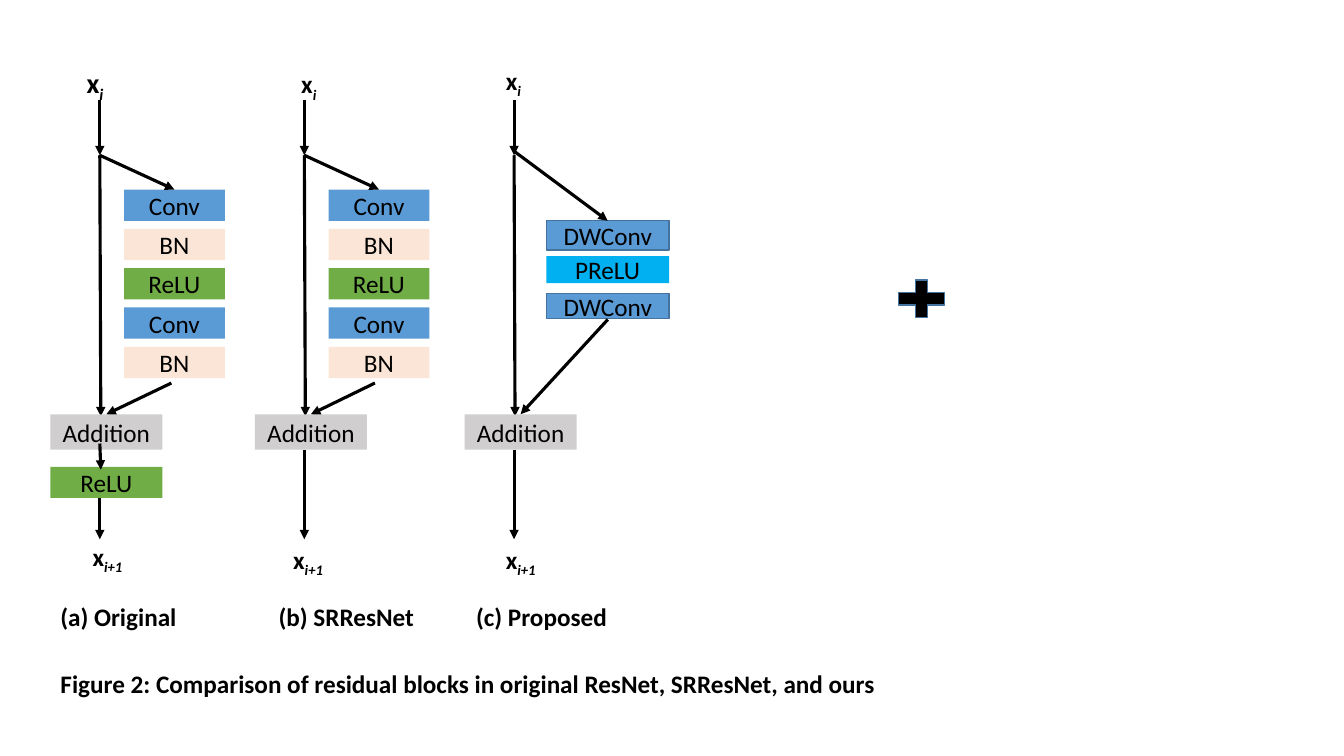
from dataclasses import dataclass

from lxml import etree
from pptx import Presentation
from pptx.dml.color import RGBColor
from pptx.enum.shapes import MSO_CONNECTOR, MSO_SHAPE
from pptx.enum.text import MSO_ANCHOR, MSO_AUTO_SIZE, PP_ALIGN
from pptx.oxml.ns import qn
from pptx.util import Pt

RECTANGLE = MSO_SHAPE.RECTANGLE
PLUS = MSO_SHAPE.MATH_PLUS
STRAIGHT = MSO_CONNECTOR.STRAIGHT
CENTER, LEFT = PP_ALIGN.CENTER, PP_ALIGN.LEFT
MIDDLE, TOP = MSO_ANCHOR.MIDDLE, MSO_ANCHOR.TOP
NO_AUTOFIT = MSO_AUTO_SIZE.NONE


@dataclass(frozen=True)
class Theme:
    """Colours, font and sizes of the slide."""
    font: str = "Calibri"
    text_size: float = 18
    large_size: float = 20
    arrow_width: float = 2.25
    ink: str = "000000"
    conv: str = "5B9BD5"
    norm: str = "FBE5D6"
    relu: str = "70AD47"
    prelu: str = "00B0F0"
    addition: str = "D0CECE"
    outline: str = "43739E"


THEME = Theme()


@dataclass(frozen=True)
class Layer:
    """One network layer; top and height are in points."""
    name: str
    fill: str
    top: float
    height: float
    outlined: bool = False


@dataclass(frozen=True)
class Symbol:
    """A variable with a subscript, placed by its box corner."""
    subscript: str
    left: float
    top: float
    size: float = THEME.text_size


@dataclass(frozen=True)
class Block:
    """One residual block, laid out around its vertical axis."""
    caption: str
    caption_left: float
    axis: float
    layers: tuple[Layer, ...]
    layer_left: float
    layer_width: float
    branch_top: float
    merge_start: tuple[float, float]
    source: Symbol
    result: Symbol
    final_relu: bool = False


LAYER_TOP, LAYER_PITCH, LAYER_HEIGHT = 135.4, 28.08, 22.3
ENTRY_TOP, SPLIT_TOP, EXIT_END = 71.3, 110.9, 385.2
ADD_TOP, ADD_HEIGHT, ADD_WIDTH, ADD_OFFSET = 295.9, 25.2, 80, -35.3
RELU_TOP = 333.4
SYMBOL_WIDTH, TEXT_HEIGHT = 60, 28.8

STACK = tuple(
    Layer(name, fill, LAYER_TOP + index * LAYER_PITCH, LAYER_HEIGHT)
    for index, (name, fill) in enumerate([
        ("Conv", THEME.conv), ("BN", THEME.norm), ("ReLU", THEME.relu),
        ("Conv", THEME.conv), ("BN", THEME.norm)])
)
DEPTHWISE = (
    Layer("DWConv", THEME.conv, 157.7, 20.9, True),
    Layer("PReLU", THEME.prelu, 182.9, 19.4),
    Layer("DWConv", THEME.conv, 209.5, 18, True),
)
BLOCKS = (
    Block("(a) Original", 36, 71.3, STACK, 88.6, 72, SPLIT_TOP, (122.4, 273.6),
          Symbol("i", 54.7, 43.2, THEME.large_size), Symbol("i+1", 59, 383), True),
    Block("(b) SRResNet", 192, 217.4, STACK, 234.7, 72, SPLIT_TOP, (267.8, 273.6),
          Symbol("i", 208.1, 45.4), Symbol("i+1", 202.3, 385.2)),
    Block("(c) Proposed", 333, 367.2, DEPTHWISE, 390.2, 87.8, 108, (434.2, 228.2),
          Symbol("i", 354.2, 43.2), Symbol("i+1", 354.2, 385.2)),
)


def format_span(span, size: float = THEME.text_size, bold: bool = False) -> None:
    """Apply the theme font to a run."""
    span.font.name = THEME.font
    span.font.size = Pt(size)
    span.font.bold = bold
    span.font.color.rgb = RGBColor.from_string(THEME.ink)


def add_figure(page, kind, left: float, top: float, width: float, height: float,
               fill: str, outlined: bool = False):
    """Draw a flat preset shape, with or without an outline."""
    box = page.shapes.add_shape(kind, Pt(left), Pt(top), Pt(width), Pt(height))
    box.shadow.inherit = False
    box.fill.solid()
    box.fill.fore_color.rgb = RGBColor.from_string(fill)
    if outlined:
        box.line.color.rgb = RGBColor.from_string(THEME.outline)
        box.line.width = Pt(1)
    else:
        box.line.fill.background()
    return box


def add_layer(page, layer: Layer, left: float, width: float) -> None:
    """Draw a layer with its centred name."""
    box = add_figure(page, RECTANGLE, left, layer.top, width, layer.height,
                     layer.fill, layer.outlined)
    box.text_frame.text = layer.name
    box.text_frame.vertical_anchor = MIDDLE
    para = box.text_frame.paragraphs[0]
    para.alignment = CENTER
    format_span(para.runs[0])


def add_arrow(page, start: tuple[float, float], end: tuple[float, float]) -> None:
    """Draw a straight arrow pointing at its end."""
    arrow = page.shapes.add_connector(
        STRAIGHT, Pt(start[0]), Pt(start[1]), Pt(end[0]), Pt(end[1]))
    arrow.line.color.rgb = RGBColor.from_string(THEME.ink)
    arrow.line.width = Pt(THEME.arrow_width)
    etree.SubElement(arrow.line._get_or_add_ln(), qn("a:tailEnd"), type="triangle")
    etree.SubElement(arrow._element.spPr, qn("a:effectLst"))


def add_label(page, text: str, left: float, top: float, width: float,
              size: float = THEME.text_size):
    """Add bold left-aligned text and return its paragraph."""
    box = page.shapes.add_textbox(Pt(left), Pt(top), Pt(width), Pt(TEXT_HEIGHT))
    box.text_frame.word_wrap = True
    para = box.text_frame.paragraphs[0]
    para.text = text
    format_span(para.runs[0], size, True)
    return para


def add_symbol(page, symbol: Symbol) -> None:
    """Add x with an italic subscript."""
    para = add_label(page, "x", symbol.left, symbol.top, SYMBOL_WIDTH, symbol.size)
    span = para.add_run()
    span.text = symbol.subscript
    format_span(span, symbol.size, True)
    span.font.italic = True
    span.font._element.set("baseline", "-25000")


def add_block(page, block: Block) -> None:
    """Draw a whole residual block with its arrows and labels."""
    axis = block.axis
    add_left = axis + ADD_OFFSET
    add_bottom = ADD_TOP + ADD_HEIGHT
    add_arrow(page, (axis, SPLIT_TOP), (axis + 0.7, 297.4))
    for layer in block.layers:
        add_layer(page, layer, block.layer_left, block.layer_width)
    add_arrow(page, (axis, block.branch_top),
              (block.layer_left + block.layer_width / 2, block.layers[0].top))
    add_layer(page, Layer("Addition", THEME.addition, ADD_TOP, ADD_HEIGHT),
              add_left, ADD_WIDTH)
    add_arrow(page, block.merge_start, (add_left + ADD_WIDTH / 2, ADD_TOP))
    add_arrow(page, (axis, ENTRY_TOP), (axis, SPLIT_TOP))
    exit_top = add_bottom
    if block.final_relu:
        add_layer(page, Layer("ReLU", THEME.relu, RELU_TOP, LAYER_HEIGHT),
                  add_left, ADD_WIDTH)
        add_arrow(page, (axis, 316.8), (axis + 0.7, 335.5))
        exit_top = RELU_TOP + LAYER_HEIGHT
    add_arrow(page, (axis, exit_top), (axis, EXIT_END))
    add_symbol(page, block.source)
    add_symbol(page, block.result)
    add_label(page, block.caption, block.caption_left, 426.2, 130)


def set_title(page, text: str) -> None:
    """Place the figure title at the foot of the page."""
    title = page.shapes.title
    title.left, title.top, title.width, title.height = (
        Pt(36), Pt(473.8), Pt(759.6), Pt(TEXT_HEIGHT))
    frame = title.text_frame
    frame.text = text
    frame.auto_size = NO_AUTOFIT
    frame.vertical_anchor = TOP
    frame.paragraphs[0].alignment = LEFT
    format_span(frame.paragraphs[0].runs[0], bold=True)


def main() -> None:
    """Build and save the deck."""
    deck = Presentation()
    deck.slide_width, deck.slide_height = Pt(960), Pt(540)
    page = deck.slides.add_slide(deck.slide_layouts[5])
    set_title(page, "Figure 2: Comparison of residual blocks in original ResNet, "
                    "SRResNet, and ours")
    add_figure(page, PLUS, 635.8, 195.1, 44.6, 36.7, THEME.ink, True)
    for block in BLOCKS:
        add_block(page, block)
    deck.save("out.pptx")


main()
